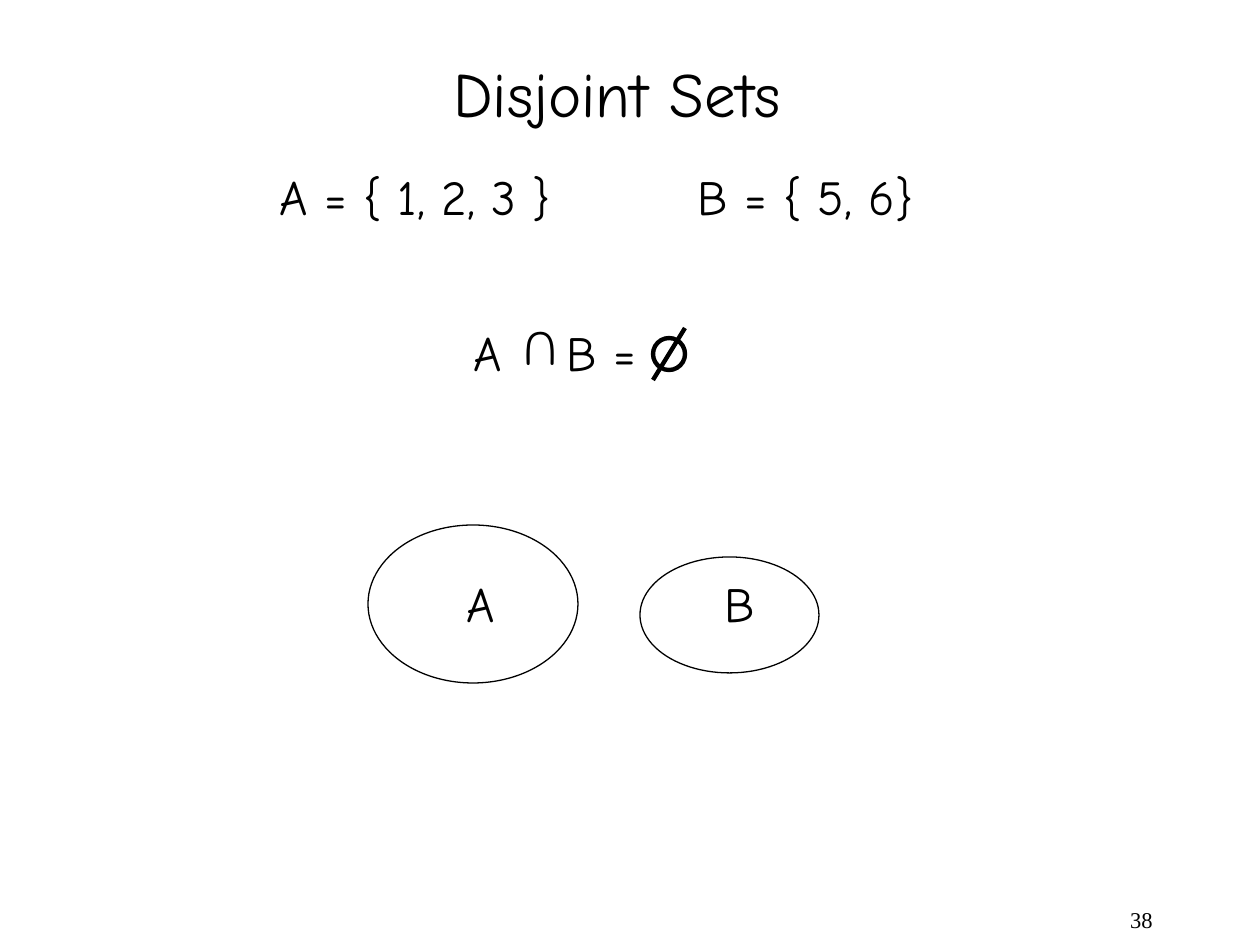
from pptx import Presentation
from pptx.dml.color import RGBColor
from pptx.enum.shapes import MSO_CONNECTOR, MSO_SHAPE
from pptx.enum.text import PP_ALIGN
from pptx.oxml.ns import qn
from pptx.util import Emu, Pt
from lxml import etree

OVAL = MSO_SHAPE.OVAL
LINE = MSO_CONNECTOR.STRAIGHT
LEFT, RIGHT = PP_ALIGN.LEFT, PP_ALIGN.RIGHT
INK = "000000"
HAND = "Comic Neue"
SERIF = "Times New Roman"


def px(*nums):
    return [Emu(round(n * 914400 / 126)) for n in nums]


def paint(color, hue):
    color.rgb = RGBColor.from_string(hue)


deck = Presentation()
deck.slide_width, deck.slide_height = px(1260, 945)
slide = deck.slides.add_slide(deck.slide_layouts[6])
shapes = slide.shapes

ovals = [
    (653, 338, 32, 32, 2.5),
    (368, 525, 210, 158, 0.75),
    (640, 557, 179, 116, 0.75),
]
for x, y, w, h, width in ovals:
    oval = shapes.add_shape(OVAL, *px(x, y, w, h))
    oval.shadow.inherit = False
    oval.fill.background()
    paint(oval.line.color, INK)
    oval.line.width = Pt(width)

slash = shapes.add_connector(LINE, *px(685, 328, 653, 380))
paint(slash.line.color, INK)
slash.line.width = Pt(2.5)
etree.SubElement(slash._element.spPr, qn("a:effectLst"))

texts = [
    ("Disjoint Sets", 441, 48, 352, 88, 36, HAND, LEFT, 0),
    ("A = { 1, 2, 3 }", 267, 160, 310, 72, 28, HAND, LEFT, 0),
    ("B = { 5, 6}", 685, 160, 257, 72, 28, HAND, LEFT, 0),
    ("A", 461, 316, 53, 72, 28, HAND, LEFT, 0),
    ("U", 507, 316, 63, 72, 28, HAND, LEFT, 180),
    ("B =", 554, 316, 110, 72, 28, HAND, LEFT, 0),
    ("A", 454, 567, 53, 72, 28, HAND, LEFT, 0),
    ("B", 712, 567, 55, 72, 28, HAND, LEFT, 0),
    ("38", 903, 903, 262, 42, 12.9, SERIF, RIGHT, 0),
]
for words, x, y, w, h, size, face, align, turn in texts:
    box = shapes.add_textbox(*px(x, y, w, h))
    box.rotation = turn
    frame = box.text_frame
    frame.word_wrap = True
    para = frame.paragraphs[0]
    para.alignment = align
    if align == RIGHT:
        para.line_spacing = 0.9
    run = para.add_run()
    run.text = words
    run.font.name = face
    run.font.size = Pt(size)
    paint(run.font.color, INK)

deck.save("out.pptx")
